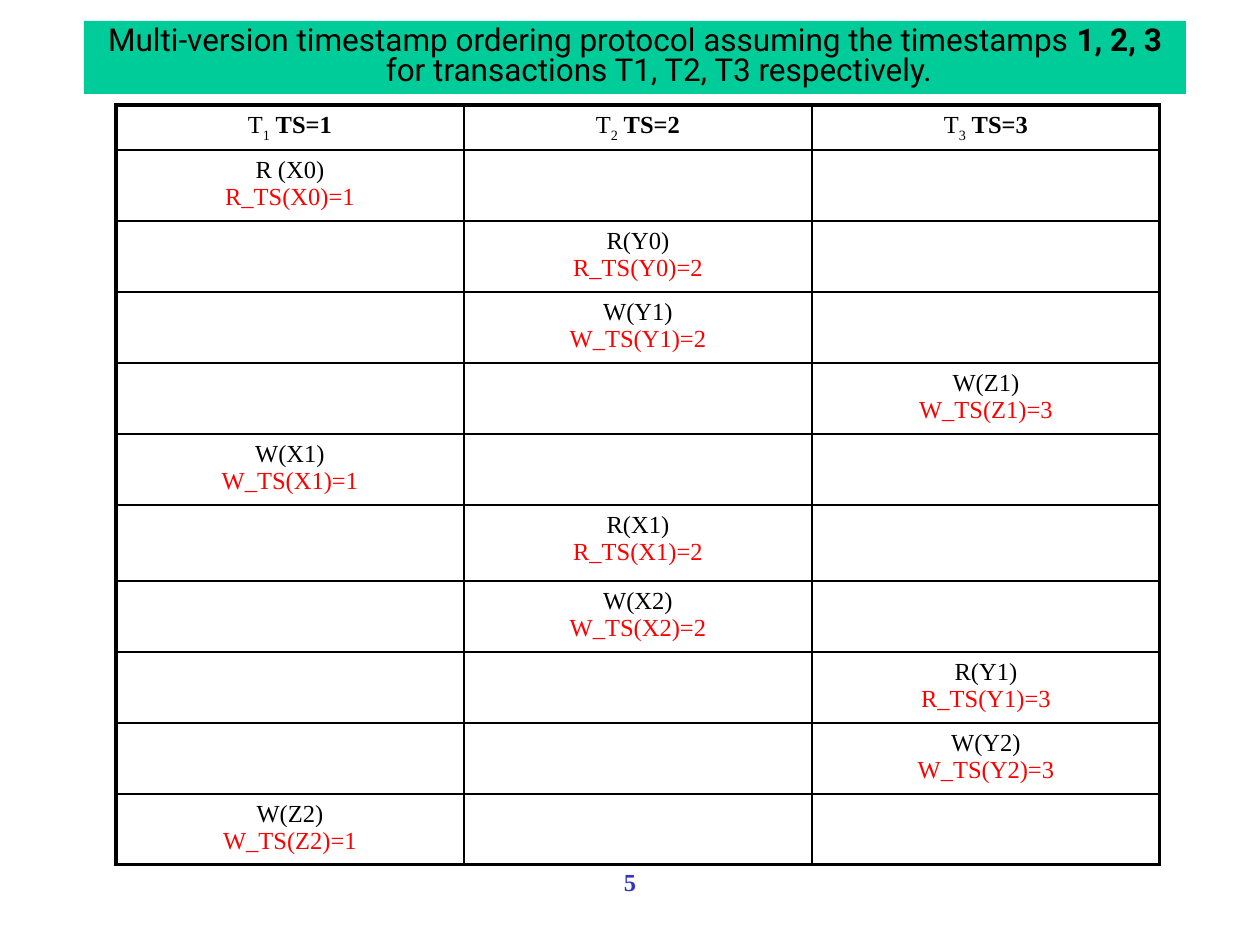
from dataclasses import dataclass

from lxml.etree import SubElement
from pptx import Presentation
from pptx.dml.color import RGBColor as RGB
from pptx.enum.shapes import MSO_SHAPE as SHAPE
from pptx.enum.text import MSO_ANCHOR as ANCHOR, PP_ALIGN as ALIGN
from pptx.oxml.ns import qn
from pptx.util import Emu, Pt


@dataclass(frozen=True)
class Theme:
    ink: str = "000000"
    stamp: str = "FF0000"
    number: str = "3333CC"
    banner: str = "00CC99"
    title_font: str = "Roboto"
    body_font: str = "Times New Roman"
    title_size: int = 18
    body_size: int = 14


theme = Theme()
SCALE = 914400 / 126


def px(n):
    return Emu(round(n * SCALE))


def write(tf, lines, font=theme.body_font, size=theme.body_size,
          color=theme.ink, bold=False, anchor=ANCHOR.TOP):
    """Fill tf with centred lines; each is a list of (text, run overrides)."""
    tf.word_wrap = True
    tf.vertical_anchor = anchor
    for i, runs in enumerate(lines):
        p = tf.add_paragraph() if i else tf.paragraphs[0]
        p.alignment = ALIGN.CENTER
        for text, own in runs:
            r = p.add_run()
            r.text = text
            r.font.name = font
            r.font.size = Pt(size)
            r.font.bold = own.get("bold", bold)
            r.font.color.rgb = RGB.from_string(own.get("color", color))
            if "baseline" in own:
                r.font._element.set("baseline", str(own["baseline"]))


prs = Presentation()
prs.slide_width, prs.slide_height = px(1260), px(945)
s = prs.slides.add_slide(prs.slide_layouts[6])

# Title banner
banner = s.shapes.add_shape(SHAPE.RECTANGLE, px(84), px(21), px(1102), px(73))
banner.shadow.inherit = False
banner.fill.solid()
banner.fill.fore_color.rgb = RGB.from_string(theme.banner)
banner.line.fill.background()
write(banner.text_frame, [[
    ("Multi-version timestamp ordering protocol assuming the timestamps ", {}),
    ("1, 2, 3", {"bold": True}),
    (" for transactions T1, T2, T3 respectively.", {}),
]], font=theme.title_font, size=theme.title_size)
p = banner.text_frame.paragraphs[0]
p.line_spacing = 0.8
pPr = p._p.get_or_add_pPr()
pPr.set("marL", str(px(48)))
pPr.set("indent", str(-px(48)))

# Schedule: (transaction, operation, item version), one step per row
steps = [
    (1, "R (X0)", "X0"), (2, "R(Y0)", "Y0"), (2, "W(Y1)", "Y1"),
    (3, "W(Z1)", "Z1"), (1, "W(X1)", "X1"), (2, "R(X1)", "X1"),
    (2, "W(X2)", "X2"), (3, "R(Y1)", "Y1"), (3, "W(Y2)", "Y2"),
    (1, "W(Z2)", "Z2"),
]
row_heights = [45] + [71] * 5 + [76] + [71] * 4
n_rows, n_cols = len(row_heights), 3
table = s.shapes.add_table(n_rows, n_cols, px(116), px(105),
                           px(348 * n_cols), px(sum(row_heights))).table
table.first_row = table.horz_banding = False
for col in table.columns:
    col.width = px(348)
for row, height in zip(table.rows, row_heights):
    row.height = px(height)

for i in range(n_rows):
    for j in range(n_cols):
        cell = table.cell(i, j)
        tcPr = cell._tc.get_or_add_tcPr()
        outer = {"lnL": j == 0, "lnR": j == n_cols - 1,
                 "lnT": i == 0, "lnB": i == n_rows - 1}
        for side, is_outer in outer.items():
            ln = SubElement(tcPr, qn(f"a:{side}"), w=str(Pt(2 if is_outer else 1)))
            fill = SubElement(ln, qn("a:solidFill"))
            SubElement(fill, qn("a:srgbClr"), val=theme.ink)
        cell.fill.background()

for ts in range(1, n_cols + 1):
    write(table.cell(0, ts - 1).text_frame, [[
        ("T", {}), (str(ts), {"baseline": -30000}), (f" TS={ts}", {"bold": True}),
    ]])
for i, (ts, operation, item) in enumerate(steps, start=1):
    write(table.cell(i, ts - 1).text_frame, [
        [(operation, {})],
        [(f"{operation[0]}_TS({item})={ts}", {"color": theme.stamp})],
    ])

# Slide number
number = s.shapes.add_textbox(px(63), px(861), px(1134), px(63))
write(number.text_frame, [[("5", {})]], color=theme.number, bold=True)

prs.save("out.pptx")
